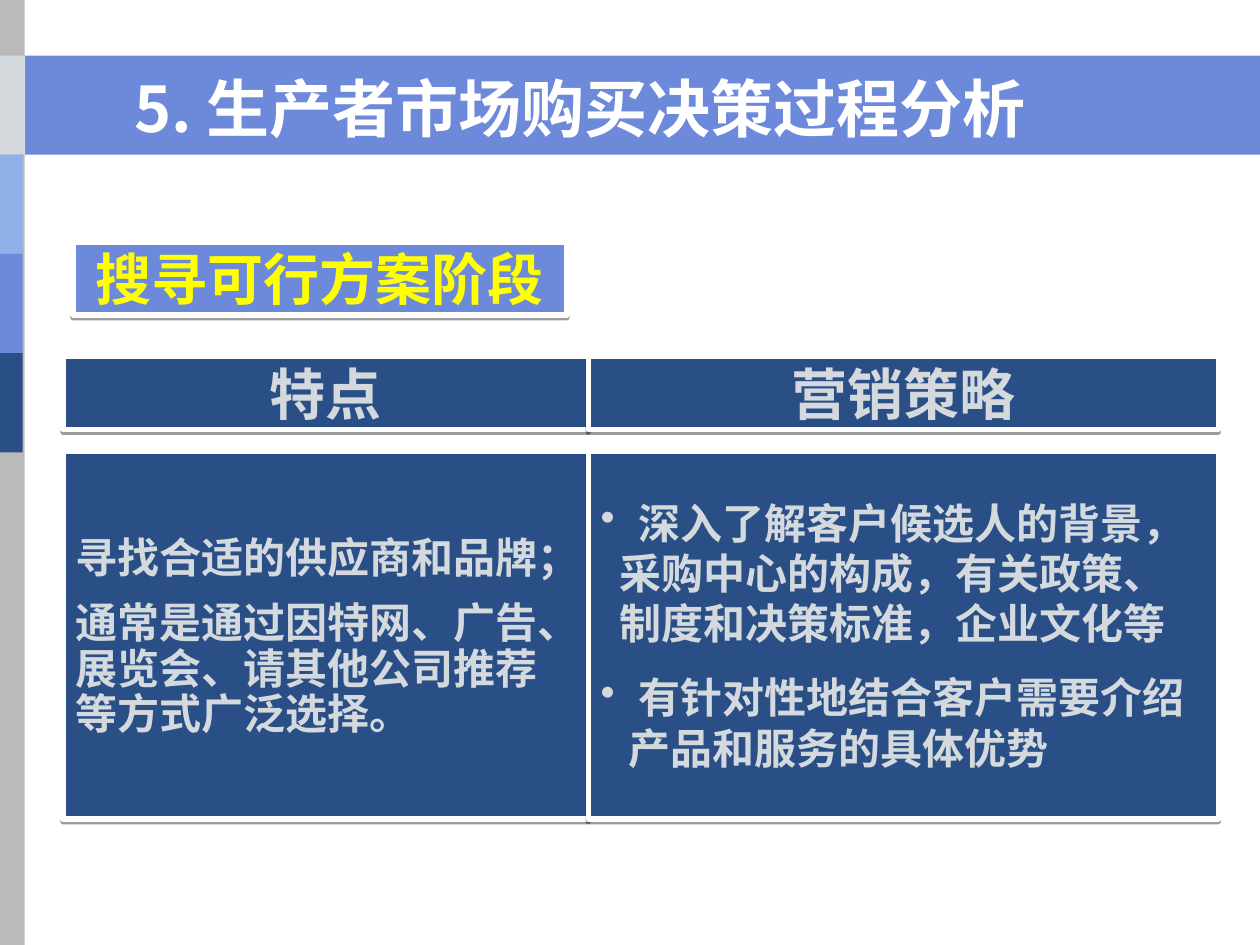
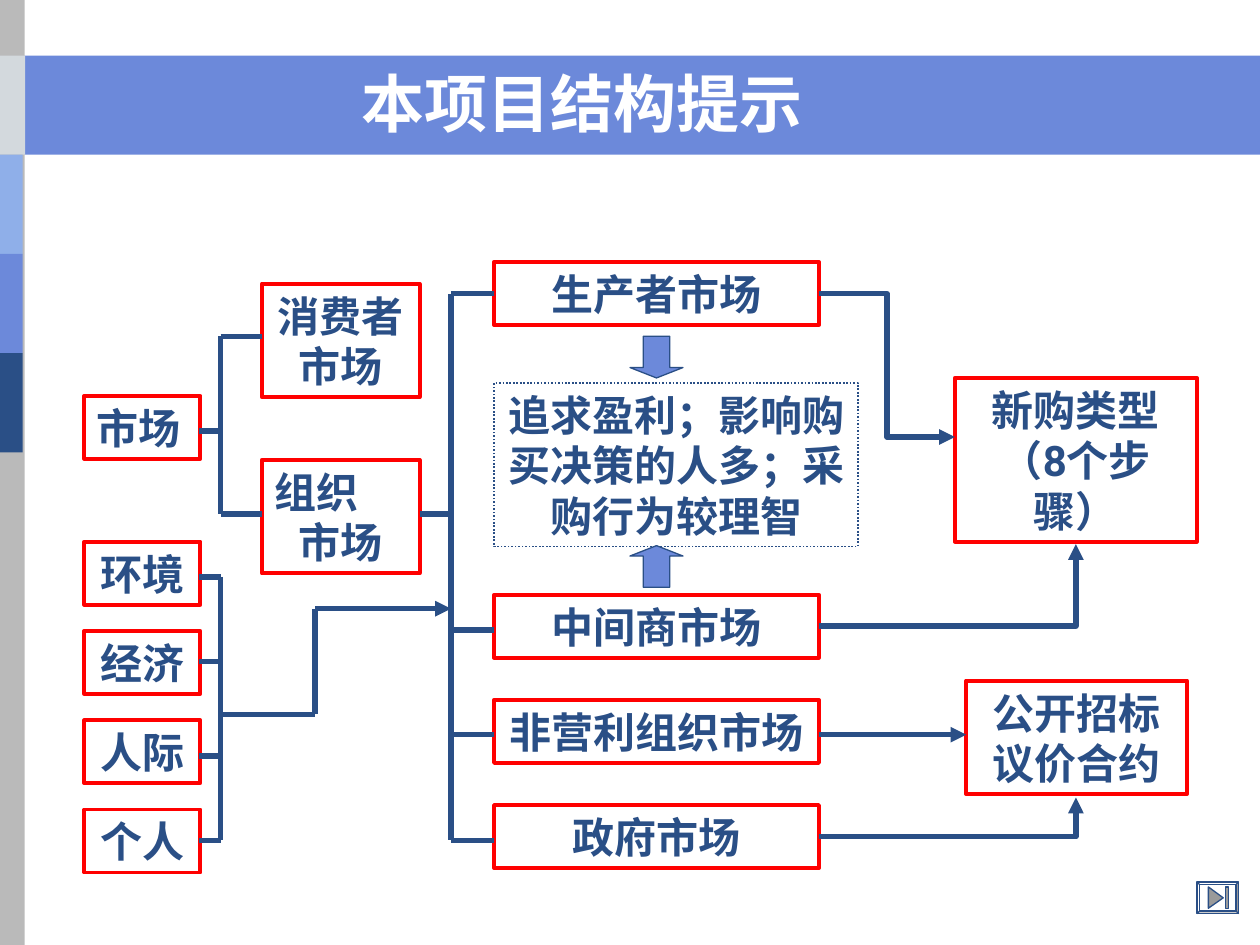
from lxml.etree import SubElement
from pptx import Presentation
from pptx.dml.color import RGBColor
from pptx.enum.dml import MSO_LINE
from pptx.enum.shapes import MSO_CONNECTOR, MSO_SHAPE
from pptx.enum.text import MSO_ANCHOR, PP_ALIGN
from pptx.oxml.ns import qn
from pptx.util import Cm, Pt

COLORS = {
    "white": "FFFFFF", "band": "6C89DA", "navy": "2A4F86", "gray": "BABABA",
    "pale": "D3D9DD", "sky": "8FAFE9", "yellow": "FFFF00", "red": "FF0000",
    "icon": "9A9A9A", "black": "000000",
}
CJK = "Noto Sans CJK SC"


def rgb(name):
    return RGBColor.from_string(COLORS[name])


def add_box(s, at, fill=None, line=None, width=0.75, kind=MSO_SHAPE.RECTANGLE):
    sp = s.shapes.add_shape(kind, *map(Cm, at))
    paint(sp, fill, line, width)
    return sp


def paint(sp, fill, line, width):
    sp.shadow.inherit = False
    if fill:
        sp.fill.solid()
        sp.fill.fore_color.rgb = rgb(fill)
    else:
        sp.fill.background()
    if line:
        sp.line.color.rgb = rgb(line)
        sp.line.width = Pt(width)
    else:
        sp.line.fill.background()


def add_shadow(sp):
    effects = sp._element.spPr.find(qn("a:effectLst"))
    shadow = SubElement(effects, qn("a:outerShdw"), blurRad="0", dist=str(Pt(1.6)),
                        dir="5400000", algn="ctr", rotWithShape="0")
    color = SubElement(shadow, qn("a:srgbClr"), val=COLORS["black"])
    SubElement(color, qn("a:alpha"), val="38000")


def set_text(sp, lines, size, font, color, align=PP_ALIGN.CENTER,
             anchor=MSO_ANCHOR.MIDDLE, wrap=True):
    tf = sp.text_frame
    tf.word_wrap = wrap
    tf.vertical_anchor = anchor
    tf.margin_left = tf.margin_right = Cm(0.25)
    tf.margin_top = tf.margin_bottom = Cm(0.13)
    tf.text = "\n".join(lines)
    for p in tf.paragraphs:
        p.alignment = align
        for r in p.runs:
            r.font.size = Pt(size)
            r.font.name = font
            r.font.bold = True
            r.font.color.rgb = rgb(color)
            SubElement(r._r.get_or_add_rPr(), qn("a:ea"), typeface=CJK)
    return tf


def set_indent(p, margin, bullet=False):
    pPr = p._p.get_or_add_pPr()
    pPr.set("marL", str(Cm(margin)))
    pPr.set("indent", str(-Cm(margin) if bullet else 0))
    if bullet:
        color = SubElement(pPr, qn("a:buClr"))
        SubElement(color, qn("a:srgbClr"), val=COLORS["pale"])
        SubElement(pPr, qn("a:buChar"), char="•")


def add_panel(s, at, lines, size, fill="navy", color="pale", **layout):
    sp = add_box(s, at, fill, "white", 3)
    add_shadow(sp)
    return set_text(sp, lines, size, "Times New Roman", color, **layout)


def add_node(s, at, *lines, line="red", width=2.25, align=PP_ALIGN.CENTER):
    sp = add_box(s, at, None, line, width)
    set_text(sp, lines, 24, "Roboto", "navy", align, MSO_ANCHOR.TOP)
    return sp


def add_line(s, x1, y1, x2, y2, arrow=False, bend=None):
    kind = MSO_CONNECTOR.ELBOW if bend else MSO_CONNECTOR.STRAIGHT
    c = s.shapes.add_connector(kind, *map(Cm, (x1, y1, x2, y2)))
    c.line.color.rgb = rgb("navy")
    c.line.width = Pt(3)
    spPr = c._element.spPr
    if bend:
        spPr.find(qn("a:prstGeom")).set("prst", bend)
    if arrow:
        SubElement(spPr.find(qn("a:ln")), qn("a:tailEnd"), type="triangle")
    SubElement(spPr, qn("a:effectLst"))


def add_bracket(s, x, ys, left=None, right=None):
    add_line(s, x, ys[0], x, ys[-1])
    for y in ys:
        add_line(s, left or x, y, right or x, y)


def new_slide(prs, title, at, align, anchor):
    s = prs.slides.add_slide(prs.slide_layouts[6])
    add_box(s, (0, 1.12, 25.4, 2), "band")
    add_box(s, (-0.03, 0, 0.53, 19.05), "gray")
    for i, fill in enumerate(("pale", "sky", "band", "navy")):
        add_box(s, (-0.05 if i else 0, 1.12 + 2 * i, 0.51, 2), fill)
    tb = s.shapes.add_textbox(*map(Cm, at))
    set_text(tb, [title], 36, CJK, "white", align, anchor)
    return s


def add_end_button(s):
    frame = add_box(s, (24.13, 17.78, 0.84, 0.64), "white", "navy", 0.75, MSO_SHAPE.BEVEL)
    frame.adjustments[0] = 0.08
    builder = s.shapes.build_freeform(Cm(24.66), Cm(18.1))
    builder.add_line_segments([(Cm(24.36), Cm(18.31)), (Cm(24.36), Cm(17.88))])
    paint(builder.convert_to_shape(), "icon", "navy", 0.75)
    add_box(s, (24.71, 17.88, 0.06, 0.43), "icon", "navy")


def build_search_stage(prs):
    s = new_slide(prs, "5. 生产者市场购买决策过程分析", (2.46, 1.27, 20.83, 1.78),
                  PP_ALIGN.LEFT, MSO_ANCHOR.BOTTOM)
    add_panel(s, (1.47, 4.88, 9.96, 1.47), ["搜寻可行方案阶段"], 32, "band", "yellow", wrap=False)
    columns = (
        (1.27, 10.59, "特点", False,
         ["寻找合适的供应商和品牌；", "通常是通过因特网、广告、",
          "展览会、请其他公司推荐", "等方式广泛选择。"]),
        (11.86, 12.7, "营销策略", True,
         ["深入了解客户候选人的背景，", "采购中心的构成，有关政策、",
          "制度和决策标准，企业文化等", "有针对性地结合客户需要介绍",
          "产品和服务的具体优势"]),
    )
    bodies = []
    for x, w, heading, wrap, lines in columns:
        add_panel(s, (x, 7.19, w, 1.47), [heading], 32, wrap=False)
        bodies.append(add_panel(s, (x, 9.09, w, 7.42), lines, 24,
                                align=PP_ALIGN.LEFT, wrap=wrap))
    features, tactics = (tf.paragraphs for tf in bodies)
    for p in features[1:]:
        p.line_spacing = 0.9
    features[1].space_before = Pt(12)
    tactics[3].space_before = Pt(13.5)
    for p, margin in zip(tactics, (0.76, 0.38, 0.38, 0.76, 0.56)):
        set_indent(p, margin, margin == 0.76)


def build_structure(prs):
    s = new_slide(prs, "本项目结构提示", (1.47, 1.27, 20.52, 1.57),
                  PP_ALIGN.CENTER, MSO_ANCHOR.MIDDLE)
    add_node(s, (1.7, 7.98, 2.34, 1.27), "市场", align=PP_ALIGN.LEFT)
    add_node(s, (5.28, 5.72, 3.18, 2.29), "消费者市场")
    organization = add_node(s, (5.28, 9.27, 3.18, 2.29), "组织", "市场")
    organization.text_frame.paragraphs[0].alignment = PP_ALIGN.LEFT
    for i, factor in enumerate(("环境", "经济", "人际", "个人")):
        add_node(s, (1.7, 10.92 + 1.8 * i, 2.34, 1.27), factor)
    add_node(s, (9.96, 5.28, 6.55, 1.27), "生产者市场")
    for i, market in enumerate(("中间商市场", "非营利组织市场", "政府市场")):
        add_node(s, (9.96, 11.99 + 2.12 * i, 6.55, 1.27), market)
    add_node(s, (19.25, 7.62, 4.88, 3.3), "新购类型（8个步骤）")
    add_node(s, (19.48, 13.72, 4.45, 2.29), "公开招标议价合约")

    add_line(s, 4.02, 8.69, 4.45, 8.69)
    add_bracket(s, 4.45, (6.78, 10.36), right=5.28)
    add_line(s, 8.46, 10.36, 9.09, 10.36)
    add_bracket(s, 9.09, (5.92, 12.7, 14.81, 16.94), right=9.96)
    add_bracket(s, 4.45, (11.63, 13.34, 15.24, 16.94), left=4.02)
    add_line(s, 4.45, 14.4, 6.35, 14.4)
    add_line(s, 6.35, 14.4, 6.35, 12.27)
    add_line(s, 6.35, 12.27, 9.09, 12.27, arrow=True)
    add_line(s, 16.51, 14.81, 19.48, 14.81, arrow=True)

    traits = add_node(s, (9.96, 7.72, 7.34, 3.3), "追求盈利；影响购买决策的人多；采购行为较理智",
                      line="navy", width=1)
    traits.line.dash_style = MSO_LINE.ROUND_DOT
    for y, kind in ((11, MSO_SHAPE.UP_ARROW), (6.78, MSO_SHAPE.DOWN_ARROW)):
        arrow = add_box(s, (12.7, y, 1.07, 0.84), "band", "navy", 0.75, kind)
        arrow.adjustments[0] = 0.5
        arrow.adjustments[1] = 0.25

    add_line(s, 16.51, 5.92, 19.25, 8.81, True, "bentConnector3")
    add_line(s, 16.51, 12.62, 21.69, 10.97, True, "bentConnector2")
    add_line(s, 16.51, 16.87, 21.69, 16.08, True, "bentConnector2")
    add_end_button(s)


def main():
    prs = Presentation()
    prs.slide_width, prs.slide_height = Cm(25.4), Cm(19.05)
    build_search_stage(prs)
    build_structure(prs)
    prs.save("out.pptx")


if __name__ == "__main__":
    main()
